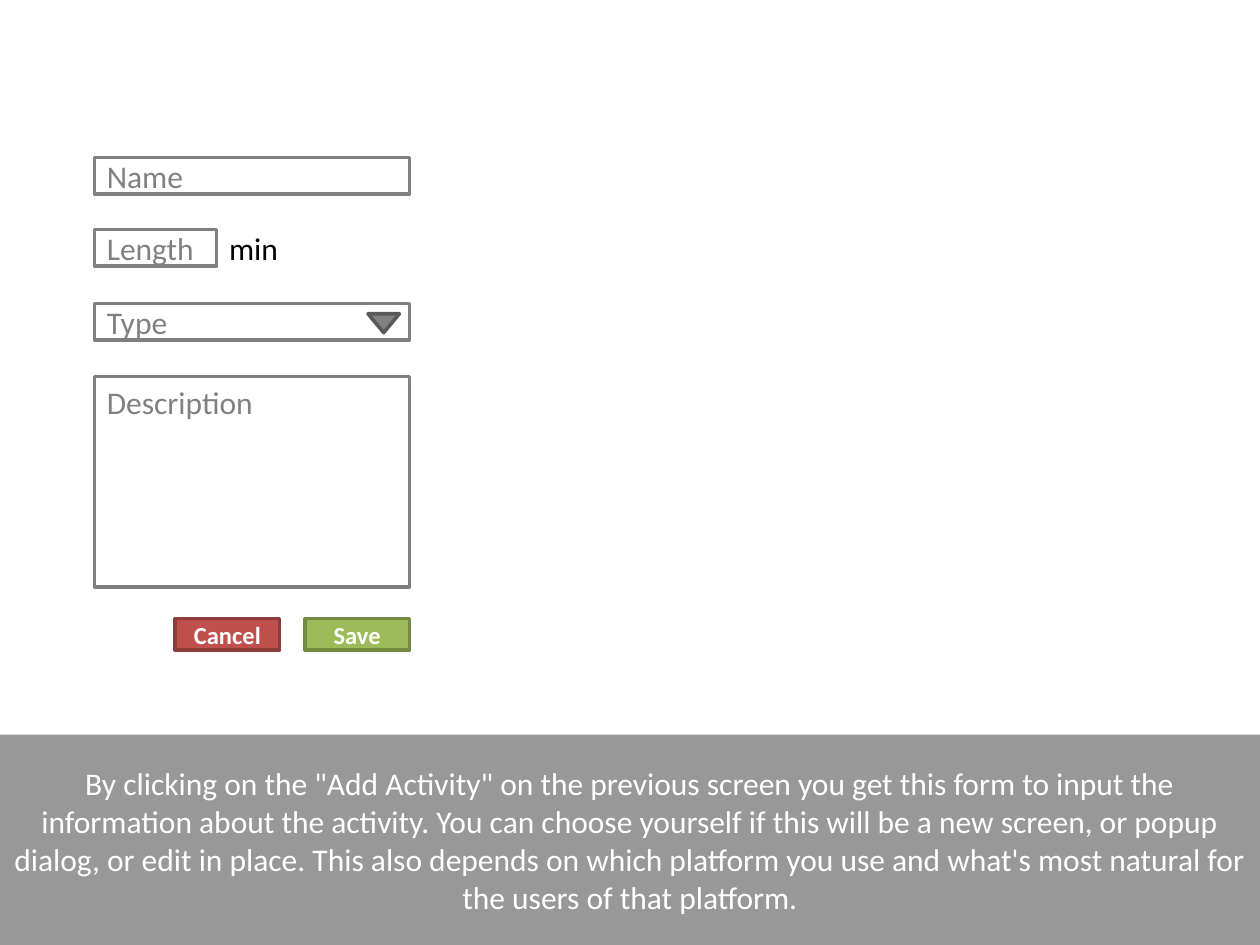
from dataclasses import dataclass
from typing import Optional

from lxml.etree import SubElement
from pptx import Presentation
from pptx.dml.color import RGBColor
from pptx.enum.shapes import MSO_SHAPE
from pptx.enum.text import MSO_ANCHOR, PP_ALIGN
from pptx.oxml.ns import qn
from pptx.util import Inches, Pt


@dataclass(frozen=True)
class Theme:
    font: str = "Calibri"
    body: int = 18
    button: int = 14
    line: int = 2
    white: str = "FFFFFF"
    black: str = "000000"
    gray: str = "808080"
    dark_gray: str = "595959"
    green: str = "9BBB59"
    dark_green: str = "738A42"
    red: str = "C0504D"
    dark_red: str = "8E3B39"
    caption: str = "7F7F7F"
    caption_alpha: int = 80


T = Theme()


@dataclass(frozen=True)
class Box:
    x: float
    y: float
    w: float
    h: float
    fill: str
    line: Optional[str] = None
    text: str = ""
    color: str = T.white
    size: int = T.body
    bold: bool = False
    align: PP_ALIGN = PP_ALIGN.CENTER
    anchor: MSO_ANCHOR = MSO_ANCHOR.MIDDLE
    kind: MSO_SHAPE = MSO_SHAPE.RECTANGLE


def write(tf, text: str, color: str, size: int, bold: bool, align: PP_ALIGN) -> None:
    tf.word_wrap = True
    tf.text = text
    p = tf.paragraphs[0]
    p.alignment = align
    for r in p.runs:
        r.font.name = T.font
        r.font.size = Pt(size)
        r.font.bold = bold
        r.font.color.rgb = RGBColor.from_string(color)


def draw(s, b: Box):
    sp = s.shapes.add_shape(b.kind, Inches(b.x), Inches(b.y), Inches(b.w), Inches(b.h))
    sp.shadow.inherit = False
    sp.fill.solid()
    sp.fill.fore_color.rgb = RGBColor.from_string(b.fill)
    if b.line:
        sp.line.color.rgb = RGBColor.from_string(b.line)
        sp.line.width = Pt(T.line)
    else:
        sp.line.fill.background()
    if b.text:
        sp.text_frame.vertical_anchor = b.anchor
        write(sp.text_frame, b.text, b.color, b.size, b.bold, b.align)
    return sp


def field(text: str, y: float, w: float = 2.5, h: float = 0.29,
          anchor: MSO_ANCHOR = MSO_ANCHOR.MIDDLE) -> Box:
    return Box(0.75, y, w, h, T.white, T.gray, text, T.gray,
               align=PP_ALIGN.LEFT, anchor=anchor)


def button(text: str, x: float, fill: str, line: str) -> Box:
    return Box(x, 4.91, 0.83, 0.25, fill, line, text, size=T.button, bold=True)


CAPTION = (
    'By clicking on the "Add Activity" on the previous screen you get this form to '
    "input the information about the activity. You can choose yourself if this will "
    "be a new screen, or popup dialog, or edit in place. This also depends on which "
    "platform you use and what's most natural for the users of that platform."
)


def main() -> None:
    prs = Presentation()
    prs.slide_width, prs.slide_height = Inches(10), Inches(7.5)
    s = prs.slides.add_slide(prs.slide_layouts[6])

    for b in (
        field("Name", 1.25),
        field("Length", 1.82, w=0.97),
        field("Type", 2.41),
        field("Description", 2.99, h=1.67, anchor=MSO_ANCHOR.TOP),
        button("Save", 2.42, T.green, T.dark_green),
        button("Cancel", 1.39, T.red, T.dark_red),
    ):
        draw(s, b)

    unit = s.shapes.add_textbox(Inches(1.72), Inches(1.77), Inches(1), Inches(0.4))
    write(unit.text_frame, "min", T.black, T.body, False, PP_ALIGN.LEFT)

    arrow = draw(s, Box(2.92, 2.49, 0.25, 0.15, T.gray, T.dark_gray,
                        kind=MSO_SHAPE.ISOSCELES_TRIANGLE))
    arrow.rotation = 180

    caption = draw(s, Box(0, 5.83, 10, 1.67, T.caption, text=CAPTION))
    color = caption.element.spPr.find(qn("a:solidFill")).find(qn("a:srgbClr"))
    SubElement(color, qn("a:alpha"), val=str(T.caption_alpha * 1000))

    prs.save("out.pptx")


if __name__ == "__main__":
    main()
